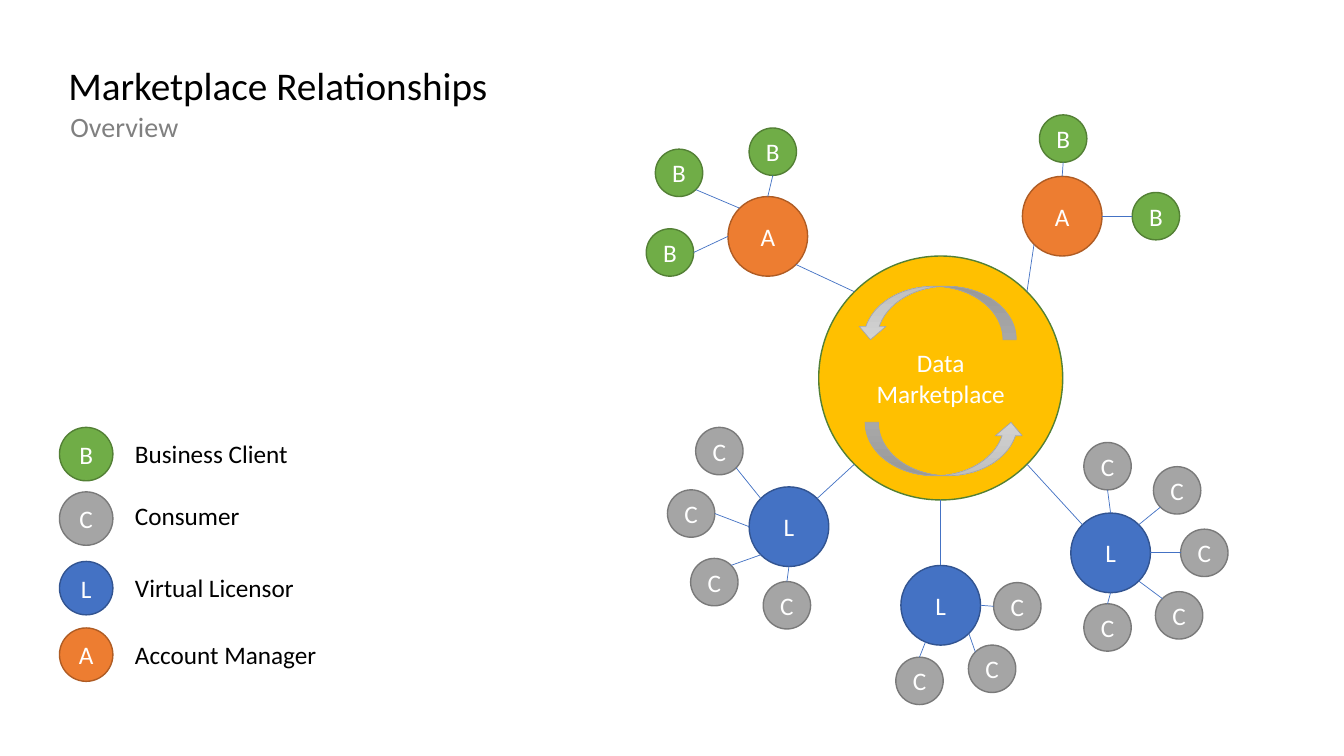
from dataclasses import dataclass
from math import cos, pi, sin

from lxml.etree import SubElement
from pptx import Presentation
from pptx.dml.color import RGBColor
from pptx.enum.shapes import MSO_CONNECTOR, MSO_SHAPE
from pptx.enum.text import MSO_ANCHOR, MSO_AUTO_SIZE, PP_ALIGN
from pptx.oxml.ns import qn
from pptx.util import Inches, Pt


@dataclass(frozen=True)
class Theme:
    font: str = "Calibri"
    title: int = 28
    subtitle: int = 20
    body: int = 18
    ink: str = "000000"
    muted: str = "808080"
    white: str = "FFFFFF"
    link: str = "4472C4"
    arrow_line: str = "A5A5A5"
    arrow_stops: tuple = ("D2D2D2", "C0C0C0")
    hub: tuple = ("FFC000", "538035")


@dataclass(frozen=True)
class Box:
    """An area measured in grid cells."""
    left: float
    top: float
    width: float
    height: float


THEME = Theme()
CELL = 0.1  # inches per grid column and row
HUB_SIZE, CLUSTER_SIZE, MEMBER_SIZE, KEY_SIZE = 24.2, 7.9, 4.7, 5.3
LABEL_HEIGHT = 4

# Role letter: fill and outline
ROLES = {
    "A": ("ED7D31", "AF5C24"),
    "B": ("70AD47", "538035"),
    "C": ("A5A5A5", "7A7A7A"),
    "L": ("4472C4", "325491"),
}

# Letter, label, row of the circle's middle, row of the label's middle
LEGEND = [
    ("B", "Business Client", 2.65, 2.6),
    ("C", "Consumer", 9.05, 8.7),
    ("L", "Virtual Licensor", 15.95, 15.9),
    ("A", "Account Manager", 22.55, 22.5),
]

# Circle sites run anticlockwise in eighths: 0 top, 2 left, 4 bottom, 6 right.
# Cluster: letter, offset from hub, own site, hub site, member letter, members.
# Member: offset from cluster, own site, cluster site.
CLUSTERS = [
    ("A", (-17.15, -14.05), 5, 1, "B", [
        ((-8.8, -6.3), 5, 1), ((0.5, -8.4), 4, 0), ((-9.7, 1.6), 6, 2)]),
    ("A", (12.05, -16.05), 3, 7, "B", [
        ((0.1, -7.7), 4, 0), ((9.3, 0), 2, 6)]),
    ("L", (-15.05, 14.75), 7, 3, "C", [
        ((-6.9, -7.5), 5, 1), ((-9.7, -1.3), 6, 2),
        ((-7.4, 5.5), 7, 3), ((-0.2, 7.8), 0, 4)]),
    ("L", (0, 22.55), 0, 4, "C", [
        ((-2.1, 7.5), 0, 3.5), ((5.1, 6.3), 1, 5), ((7.6, 0.1), 2, 6)]),
    ("L", (16.85, 17.35), 1, 5, "C", [
        ((-0.3, 7.4), 0, 4), ((6.8, 6.2), 1, 5), ((9.3, 0), 2, 6),
        ((6.6, -6.2), 3, 7), ((-0.3, -8.6), 4, 0)]),
]


def cells(*counts):
    return [Inches(count * CELL) for count in counts]


def color(code):
    return RGBColor.from_string(code)


def write(frame, text, size, ink):
    frame.text = text
    para = frame.paragraphs[0]
    for span in para.runs:
        span.font.name = THEME.font
        span.font.size = Pt(size)
        span.font.color.rgb = color(ink)
    return para


def add_label(page, box, text, size, ink):
    label = page.shapes.add_textbox(*cells(box.left, box.top, box.width, box.height))
    frame = label.text_frame
    frame.word_wrap = True
    frame.auto_size = MSO_AUTO_SIZE.SHAPE_TO_FIT_TEXT
    write(frame, text, size, ink)


def add_centred(page, kind, middle, width, height):
    x, y = middle
    shape = page.shapes.add_shape(
        kind, *cells(x - width / 2, y - height / 2, width, height))
    shape.shadow.inherit = False
    return shape


def add_circle(page, middle, size, text, paint):
    circle = add_centred(page, MSO_SHAPE.OVAL, middle, size, size)
    fill, outline = paint
    circle.fill.solid()
    circle.fill.fore_color.rgb = color(fill)
    circle.line.color.rgb = color(outline)
    circle.line.width = Pt(1)
    circle.text_frame.vertical_anchor = MSO_ANCHOR.MIDDLE
    write(circle.text_frame, text, THEME.body, THEME.white).alignment = PP_ALIGN.CENTER
    return circle


def site_point(circle, site):
    radius = circle.width / 2
    angle = site * pi / 4
    return (round(circle.left + radius - radius * sin(angle)),
            round(circle.top + radius - radius * cos(angle)))


def add_link(page, start, start_site, end, end_site):
    link = page.shapes.add_connector(
        MSO_CONNECTOR.STRAIGHT,
        *site_point(start, start_site), *site_point(end, end_site))
    link.line.color.rgb = color(THEME.link)
    link.line.width = Pt(0.5)
    SubElement(link.element.spPr, qn("a:effectLst"))
    # Glue each end that sits on a whole site of its circle
    joints = link.element.find(".//" + qn("p:cNvCxnSpPr"))
    for tag, circle, site in (("a:stCxn", start, start_site), ("a:endCxn", end, end_site)):
        if site == int(site):
            SubElement(joints, qn(tag), id=str(circle.shape_id), idx=str(site))


def add_cycle_arrow(page, middle, rotation):
    arrow = add_centred(page, MSO_SHAPE.CURVED_UP_ARROW, middle, 15.8, 5.3)
    arrow.rotation = rotation
    arrow.fill.gradient()
    arrow.fill.gradient_angle = 270
    for stop, code in zip(arrow.fill.gradient_stops, THEME.arrow_stops):
        stop.color.rgb = color(code)
    arrow.line.color.rgb = color(THEME.arrow_line)
    arrow.line.width = Pt(0.5)


def draw_heading(page, box):
    add_label(page, Box(box.left, box.top, box.width, 5.7),
              "Marketplace Relationships", THEME.title, THEME.ink)
    add_label(page, Box(box.left + 0.2, box.top + 4.8, 17.2, 4.4),
              "Overview", THEME.subtitle, THEME.muted)


def draw_legend(page, box):
    for letter, text, circle_row, label_row in LEGEND:
        middle = (box.left + KEY_SIZE / 2, box.top + circle_row)
        add_circle(page, middle, KEY_SIZE, letter, ROLES[letter])
        label = Box(box.left + 6.5, box.top + label_row - LABEL_HEIGHT / 2,
                    box.width - 6.5, LABEL_HEIGHT)
        add_label(page, label, text, THEME.body, THEME.ink)


def draw_network(page, box):
    # Hub with its two cycle arrows
    x, y = box.left + box.width / 2, box.top + box.height / 2
    hub = add_circle(page, (x, y), HUB_SIZE, "Data Marketplace", THEME.hub)
    add_cycle_arrow(page, (x + 0.4, y + 7.05), 0)
    add_cycle_arrow(page, (x - 0.4, y - 6.45), 180)

    # Clusters around the hub, each with its members
    for letter, (dx, dy), site, hub_site, member_letter, members in CLUSTERS:
        cluster_x, cluster_y = x + dx, y + dy
        cluster = add_circle(page, (cluster_x, cluster_y), CLUSTER_SIZE, letter, ROLES[letter])
        add_link(page, cluster, site, hub, hub_site)
        for (member_dx, member_dy), member_site, cluster_site in members:
            middle = (cluster_x + member_dx, cluster_y + member_dy)
            member = add_circle(page, middle, MEMBER_SIZE, member_letter, ROLES[member_letter])
            add_link(page, member, member_site, cluster, cluster_site)


def main():
    deck = Presentation()
    deck.slide_width, deck.slide_height = Inches(13.33), Inches(7.5)
    page = deck.slides.add_slide(deck.slide_layouts[6])
    draw_heading(page, Box(5.8, 5.6, 45.6, 9.2))
    draw_legend(page, Box(5.9, 42.4, 28.3, 25.2))
    draw_network(page, Box(64.3, 10, 58, 55))
    deck.save("out.pptx")


if __name__ == "__main__":
    main()
